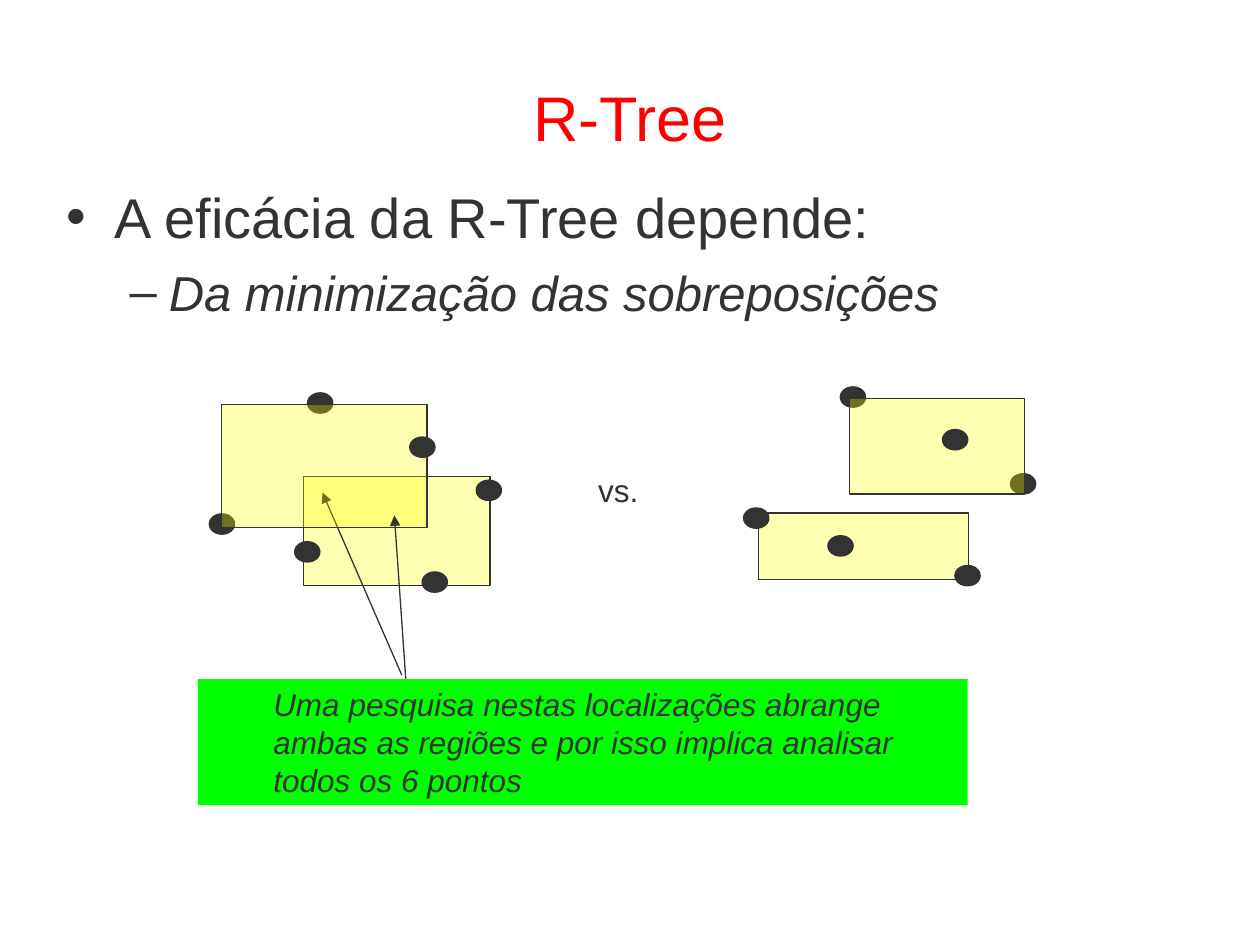
from pptx import Presentation
from pptx.dml.color import RGBColor
from pptx.enum.shapes import MSO_CONNECTOR, MSO_SHAPE
from pptx.enum.text import MSO_ANCHOR, MSO_AUTO_SIZE, PP_ALIGN
from pptx.oxml.ns import qn
from pptx.util import Cm, Pt
from lxml.etree import SubElement

RED = RGBColor(0xFF, 0x00, 0x00)
DARK = RGBColor(0x33, 0x33, 0x33)
YELLOW = RGBColor(0xFF, 0xFF, 0x00)
GREEN = RGBColor(0x00, 0xFF, 0x00)


class SlideBuilder:
    font_name = "Arial"
    line_width = Pt(0.75)
    point_size = (0.51, 0.41)

    def __init__(self, slide):
        self.slide = slide

    def style(self, paragraph, size, color=DARK, italic=False, align=PP_ALIGN.LEFT):
        paragraph.alignment = align
        font = paragraph.font
        font.name, font.size, font.italic = self.font_name, Pt(size), italic
        font.color.rgb = color

    def place(self, shape, left, top, width, height):
        shape.left, shape.top = Cm(left), Cm(top)
        shape.width, shape.height = Cm(width), Cm(height)

    def title(self, text, *box):
        shape = self.slide.shapes.title
        self.place(shape, *box)
        frame = shape.text_frame
        frame.text = text
        frame.vertical_anchor = MSO_ANCHOR.MIDDLE
        self.style(frame.paragraphs[0], 36, RED, align=PP_ALIGN.CENTER)

    def body(self, items, *box):
        shape = self.slide.placeholders[1]
        self.place(shape, *box)
        frame = shape.text_frame
        frame.auto_size = MSO_AUTO_SIZE.NONE
        frame.margin_top = Cm(0.25)
        frame.text = "\n".join(item[0] for item in items)
        for paragraph, item in zip(frame.paragraphs, items):
            _, level, bullet, margin, indent, size, before, italic = item
            paragraph.level = level
            properties = paragraph._p.get_or_add_pPr()
            properties.set("marL", str(Cm(margin)))
            properties.set("indent", str(Cm(indent)))
            SubElement(properties, qn("a:buChar"), char=bullet)
            paragraph.space_before = Pt(before)
            self.style(paragraph, size, italic=italic)

    def shape(self, kind, fill, *box):
        shape = self.slide.shapes.add_shape(kind, *map(Cm, box))
        shape.shadow.inherit = False
        shape.fill.solid()
        shape.fill.fore_color.rgb = fill
        shape.line.color.rgb = DARK
        shape.line.width = self.line_width
        return shape

    def region(self, *box):
        shape = self.shape(MSO_SHAPE.RECTANGLE, YELLOW, *box)
        color = shape.fill._xPr.find(qn("a:solidFill"))[0]
        SubElement(color, qn("a:alpha"), val="30000")

    def points(self, *corners):
        for left, top in corners:
            self.shape(MSO_SHAPE.OVAL, DARK, left, top, *self.point_size)

    def label(self, text, *box):
        frame = self.slide.shapes.add_textbox(*map(Cm, box)).text_frame
        frame.word_wrap = False
        frame.text = text
        self.style(frame.paragraphs[0], 18)

    def callout(self, text, *box):
        shape = self.shape(MSO_SHAPE.RECTANGLE, GREEN, *box)
        shape.line.fill.background()
        frame = shape.text_frame
        frame.word_wrap = True
        frame.vertical_anchor = MSO_ANCHOR.TOP
        frame.text = text
        paragraph = frame.paragraphs[0]
        paragraph._p.get_or_add_pPr().set("marL", str(Cm(1.27)))
        self.style(paragraph, 18, italic=True)

    def arrow(self, *ends):
        connector = self.slide.shapes.add_connector(
            MSO_CONNECTOR.STRAIGHT, *map(Cm, ends))
        connector.line.color.rgb = DARK
        connector.line.width = self.line_width
        SubElement(connector.line._get_or_add_ln(), qn("a:tailEnd"), type="triangle")
        SubElement(connector._element.spPr, qn("a:effectLst"))


def main():
    presentation = Presentation()
    presentation.slide_width, presentation.slide_height = Cm(25.4), Cm(19.05)
    slide = presentation.slides.add_slide(presentation.slide_layouts[1])
    builder = SlideBuilder(slide)

    # Title and list
    builder.title("R-Tree", 1.27, 0.76, 22.86, 3.18)
    builder.body([
        ("A eficácia da R-Tree depende:", 0, "•", 0.97, -0.97, 32, 0, False),
        ("Da minimização das sobreposições", 1, "–", 2.06, -0.79, 28, 7, True),
    ], 1.09, 3.43, 22.86, 8.99)

    # Overlapping regions, with the points each one covers
    builder.region(6.12, 9.6, 3.76, 2.21)
    builder.points((6.2, 7.92), (9.6, 9.68), (4.22, 10.36), (8.51, 11.53), (5.94, 10.92))
    builder.label("vs.", 11.81, 9.37, 1.32, 1.02)

    # Remark on the overlap
    builder.callout("Uma pesquisa nestas localizações abrange ambas as regiões "
                    "e por isso implica analisar todos os 6 pontos",
                    3.99, 13.69, 15.52, 2.54)
    builder.arrow(8.1, 13.61, 6.5, 9.93)
    builder.region(4.47, 8.15, 4.14, 2.49)
    builder.points((8.26, 8.81))

    # Separate regions
    builder.region(15.29, 10.34, 4.24, 1.35)
    builder.points((16.94, 7.8), (20.37, 9.55), (14.99, 10.24), (19.25, 11.4), (16.69, 10.8))
    builder.region(17.12, 8.03, 3.53, 1.93)
    builder.points((19, 8.66))
    builder.arrow(8.18, 13.69, 7.95, 10.39)

    presentation.save("out.pptx")


if __name__ == "__main__":
    main()
